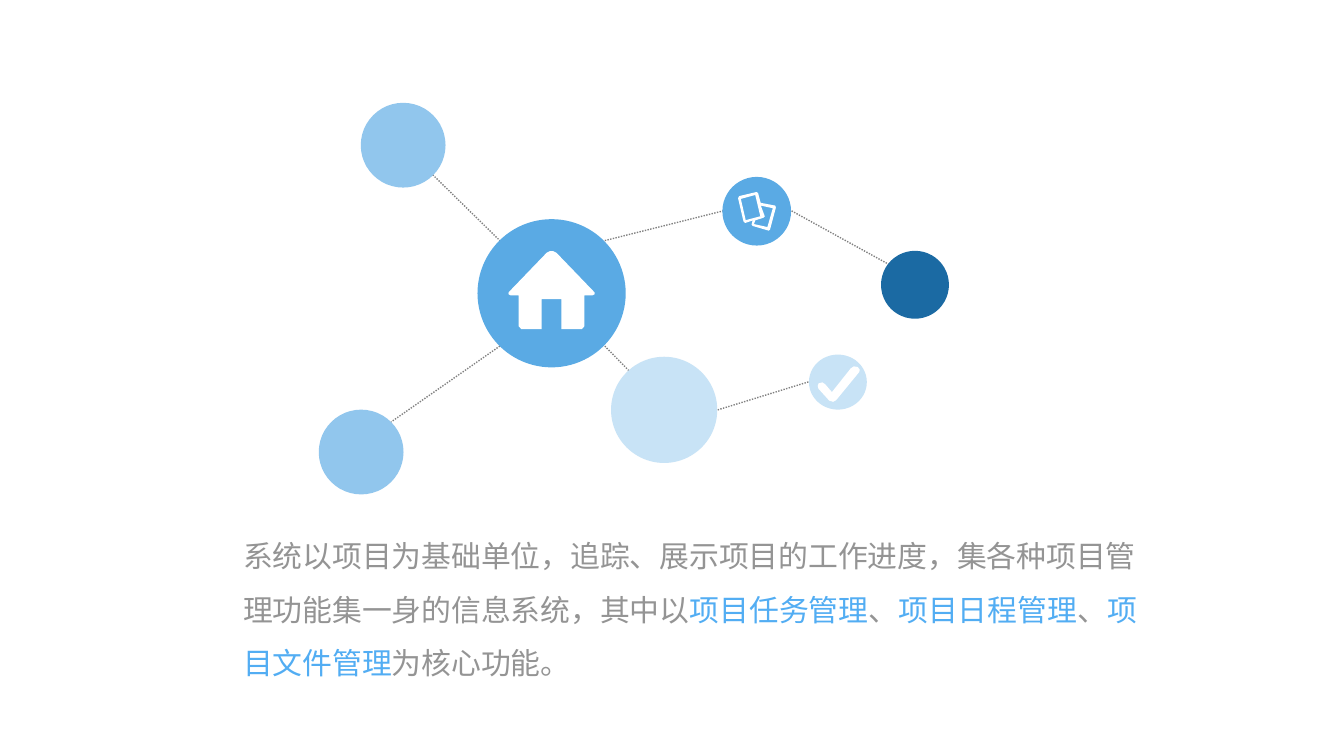
from pptx import Presentation
from pptx import util as u
from pptx.dml.color import RGBColor
from pptx.enum import dml, shapes, text
from pptx.oxml.ns import qn
from lxml import etree

Pt = u.Pt


def paint(shape, color):
    """Flat fill with neither outline nor shadow."""
    shape.shadow.inherit = False
    shape.fill.solid()
    shape.fill.fore_color.rgb = RGBColor.from_string(color)
    shape.line.fill.background()


def add_icon(*contours):
    """White outline from contours in points; inner contours become holes."""
    builder = None
    for contour in contours:
        # Freeform units are whole numbers, so one unit is a tenth of a point
        (x, y), *rest = [(round(px * 10), round(py * 10)) for px, py in contour]
        if builder is None:
            builder = slide.shapes.build_freeform(x, y, scale=Pt(0.1))
        else:
            builder.move_to(x, y)
        builder.add_line_segments(rest, close=True)
    paint(builder.convert_to_shape(), "FFFFFF")


prs = Presentation()
prs.slide_width, prs.slide_height = Pt(720), Pt(405)
slide = prs.slides.add_slide(prs.slide_layouts[6])

# Description
description = slide.shapes.add_textbox(Pt(123.1), Pt(275), Pt(505.4), Pt(100.8)).text_frame
description.word_wrap = True
description.vertical_anchor = text.MSO_ANCHOR.TOP
paragraph = description.paragraphs[0]
paragraph.line_spacing = 1.5
GREY, BLUE = "949494", "52ADF3"
for words, color in [
    ("系统以项目为基础单位，追踪、展示项目的工作进度，集各种项目管理功能集一身的信息系统，其中以", GREY),
    ("项目任务管理", BLUE),
    ("、", GREY),
    ("项目日程管理", BLUE),
    ("、", GREY),
    ("项目文件管理", BLUE),
    ("为核心功能。", GREY),
]:
    run = paragraph.add_run()
    run.text = words
    run.font.size = Pt(16)
    run.font.name = "Arial"
    run.font.color.rgb = RGBColor.from_string(color)

# Dotted links between the nodes
for x1, y1, x2, y2 in [
    (231.8, 93.6, 267.8, 128.9),
    (267.8, 185.4, 209.5, 226.1),
    (324, 185.4, 337.7, 199.4),
    (324, 128.9, 387.4, 113),
    (424.1, 113, 481.7, 144.7),
    (384.5, 219.6, 433.4, 204.5),
]:
    link = slide.shapes.add_connector(
        shapes.MSO_CONNECTOR.STRAIGHT, Pt(x1), Pt(y1), Pt(x2), Pt(y2))
    link.line.color.rgb = RGBColor.from_string("808080")
    link.line.width = Pt(0.75)
    link.line.dash_style = dml.MSO_LINE.ROUND_DOT
    etree.SubElement(link._element.spPr, qn("a:effectLst"))

# Nodes: centre, width, height, colour
for cx, cy, width, height, color in [
    (448.9, 204.7, 31, 29.5, "C8E3F6"),
    (490.2, 152.6, 36.4, 36.4, "1B6AA3"),
    (295.5, 157.1, 79.4, 79.4, "5AAAE4"),
    (355.8, 219.6, 56.9, 56.9, "C8E3F6"),
    (216, 77.8, 45.4, 45.4, "91C6ED"),
    (405.4, 113.2, 36.8, 36.8, "5AAAE4"),
    (193.5, 242.2, 45.4, 45.4, "91C6ED"),
]:
    node = slide.shapes.add_shape(
        shapes.MSO_SHAPE.OVAL, Pt(cx - width / 2), Pt(cy - height / 2), Pt(width), Pt(height))
    paint(node, color)

# House: the right half, as distances from its axis, is mirrored to the left
house_axis = 295.5
house_half = [(0.8, 134.5), (2.6, 135.4), (23, 156.6), (23.1, 157.6), (22, 158.2),
              (17.6, 158.2), (17.6, 174.8), (16.2, 176.3), (5.3, 176.3), (5.3, 160.3)]
add_icon([(house_axis + dx, y) for dx, y in house_half]
         + [(house_axis - dx, y) for dx, y in reversed(house_half)])

# Two cards: the outline, then the face of each card
add_icon(
    [(415.4, 110.2), (407.5, 108.7), (406.1, 103.4), (405.2, 102.9), (396, 105.1),
     (395.4, 106.3), (398.3, 118.7), (399.2, 119.5), (403.2, 118.2), (402.6, 120.4),
     (403.2, 121.1), (411.8, 123.6), (412.5, 123.1), (415.6, 111.4)],
    [(396.9, 106.6), (404.6, 104.5), (407.3, 115.9), (399.5, 118)],
    [(411.1, 121.7), (403.9, 120.1), (404.6, 118.1), (409, 116.7), (409.7, 115.9),
     (407.6, 110.2), (414, 111.6)],
)

# Check mark
add_icon([(446.4, 215.3), (444.3, 214.7), (438.5, 208.3), (438.1, 206.8), (438.6, 205.4),
          (440.6, 204.9), (442.1, 205.9), (445.7, 210.1), (455.8, 197.4), (457.4, 196.3),
          (459.4, 196.6), (460.6, 197.9), (460.4, 199.3), (448, 214.4)])

prs.save("out.pptx")
